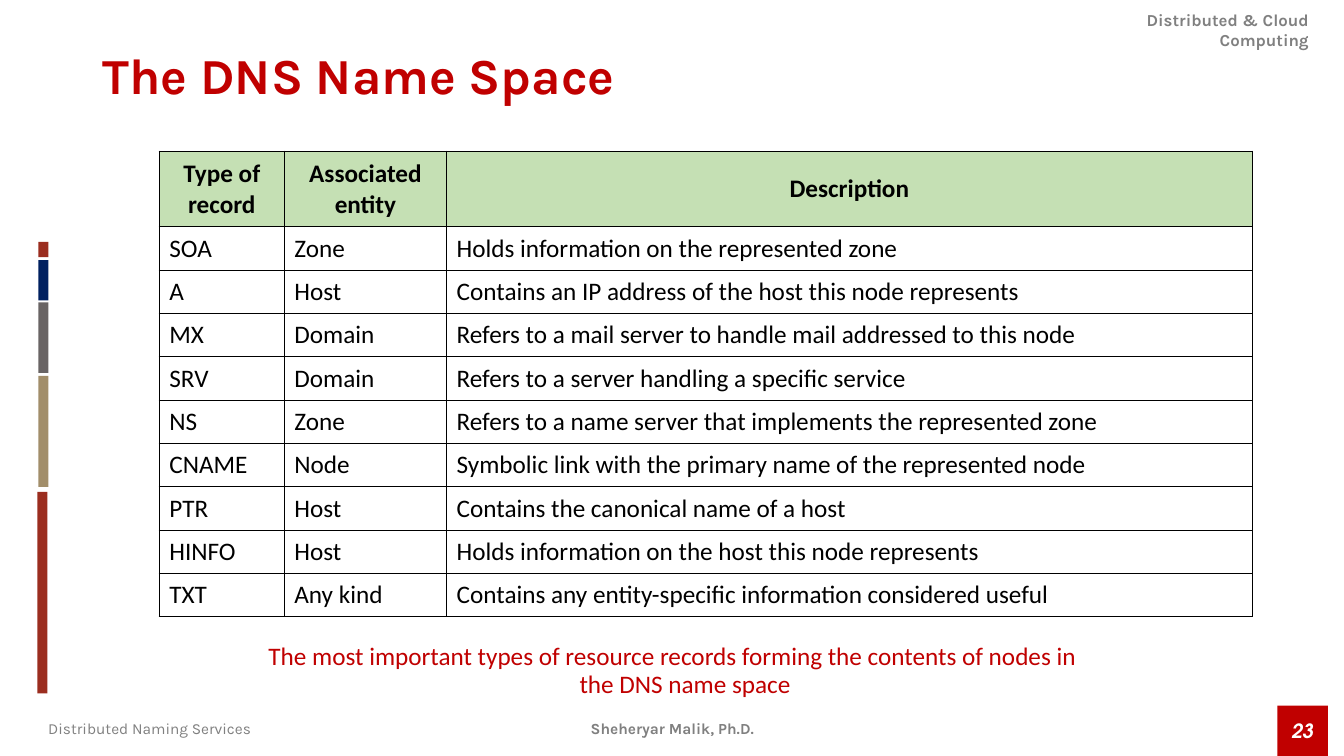
"""Build the slide listing the DNS resource record types."""
from dataclasses import dataclass

from lxml import etree
from pptx import Presentation
from pptx import util as u
from pptx.dml.color import RGBColor
from pptx.enum import shapes, text
from pptx.oxml import ns

RED, GRAY, BLACK, WHITE = "C00000", "808080", "000000", "FFFFFF"
HEADER_GREEN = "C5E0B4"
LEFT, CENTER, RIGHT = text.PP_ALIGN.LEFT, text.PP_ALIGN.CENTER, text.PP_ALIGN.RIGHT
TOP, MIDDLE = text.MSO_ANCHOR.TOP, text.MSO_ANCHOR.MIDDLE


@dataclass(frozen=True)
class Style:
    size: float
    color: str
    font: str = "Karla"
    bold: bool = False
    italic: bool = False
    align: text.PP_ALIGN = LEFT
    line_spacing: float = 1.0


@dataclass(frozen=True)
class Label:
    words: str
    left: float
    top: float
    width: float
    height: float
    style: Style
    anchor: text.MSO_ANCHOR = MIDDLE
    hanging: float = 0


@dataclass(frozen=True)
class Bar:
    left: float
    top: float
    height: float
    color: str


LABELS = [
    Label("Distributed & Cloud Computing", 10.64, 0.05, 2.44, 0.3,
          Style(12, GRAY, bold=True, align=RIGHT), TOP),
    Label("Distributed Naming Services", 0.38, 7.06, 4.4, 0.33, Style(11, GRAY)),
    Label("Sheheryar Malik, Ph.D.", 4.47, 7.06, 4.4, 0.33,
          Style(11, GRAY, bold=True, align=CENTER)),
    Label("The DNS Name Space", 0.92, 0.05, 11.5, 1.45,
          Style(36, RED, bold=True, line_spacing=0.9)),
    Label("The most important types of resource records forming the contents "
          "of nodes in the DNS name space", 2.42, 6.34, 8.5, 0.62,
          Style(18, RED, "Calibri", align=CENTER, line_spacing=0.9), TOP, 0.25),
]

BARS = [
    Bar(0.37, 4.88, 2, "9B2D1F"),
    Bar(0.38, 3.73, 1.1, "A28E6A"),
    Bar(0.38, 3, 0.7, "696464"),
    Bar(0.38, 2.4, 0.15, "9B2D1F"),
    Bar(0.38, 2.58, 0.4, "002060"),
]

COLUMN_WIDTHS = [1.24, 1.61, 7.99]
HEADER_HEIGHT, ROW_HEIGHT = 0.75, 0.43
RECORDS = [
    ("Type of record", "Associated entity", "Description"),
    ("SOA", "Zone", "Holds information on the represented zone"),
    ("A", "Host", "Contains an IP address of the host this node represents"),
    ("MX", "Domain", "Refers to a mail server to handle mail addressed to this node"),
    ("SRV", "Domain", "Refers to a server handling a specific service"),
    ("NS", "Zone", "Refers to a name server that implements the represented zone"),
    ("CNAME", "Node", "Symbolic link with the primary name of the represented node"),
    ("PTR", "Host", "Contains the canonical name of a host"),
    ("HINFO", "Host", "Holds information on the host this node represents"),
    ("TXT", "Any kind", "Contains any entity-specific information considered useful"),
]
HEADER_STYLE = Style(18, BLACK, "Calibri", bold=True, align=CENTER)
RECORD_STYLE = Style(18, BLACK, "Calibri")


def paint(target, color: str) -> None:
    """Give a fill a solid colour."""
    target.solid()
    target.fore_color.rgb = RGBColor.from_string(color)


def write(frame, words: str, style: Style):
    """Write one styled paragraph and return it."""
    para = frame.paragraphs[0]
    para.text = words
    para.alignment = style.align
    para.line_spacing = style.line_spacing
    para.font.name = style.font
    para.font.size = u.Pt(style.size)
    para.font.bold = style.bold
    para.font.italic = style.italic
    paint(para.font.fill, style.color)
    return para


def add_label(page, label: Label) -> None:
    """Add a wrapped text box."""
    box = page.shapes.add_textbox(u.Inches(label.left), u.Inches(label.top),
                                  u.Inches(label.width), u.Inches(label.height))
    frame = box.text_frame
    frame.word_wrap = True
    frame.vertical_anchor = label.anchor
    para = write(frame, label.words, label.style)
    if label.hanging:
        properties = para._p.get_or_add_pPr()
        properties.set("marL", str(u.Inches(label.hanging)))
        properties.set("indent", str(-u.Inches(label.hanging)))


def add_block(page, left: float, top: float, width: float, height: float, color: str):
    """Add a plain filled rectangle and return it."""
    block = page.shapes.add_shape(shapes.MSO_SHAPE.RECTANGLE, u.Inches(left),
                                  u.Inches(top), u.Inches(width), u.Inches(height))
    block.shadow.inherit = False
    paint(block.fill, color)
    block.line.fill.background()
    return block


def add_borders(cell) -> None:
    """Draw a thin black line on all four sides of a cell."""
    properties = cell._tc.get_or_add_tcPr()
    for index, side in enumerate(("lnL", "lnR", "lnT", "lnB")):
        line = etree.Element(ns.qn(f"a:{side}"), w=str(u.Pt(1)))
        fill = etree.SubElement(line, ns.qn("a:solidFill"))
        etree.SubElement(fill, ns.qn("a:srgbClr"), val=BLACK)
        properties.insert(index, line)


def add_record_table(page) -> None:
    """Add the table of resource record types."""
    height = HEADER_HEIGHT + ROW_HEIGHT * (len(RECORDS) - 1)
    table = page.shapes.add_table(
        len(RECORDS), len(COLUMN_WIDTHS), u.Inches(1.58), u.Inches(1.5),
        u.Inches(sum(COLUMN_WIDTHS)), u.Inches(height)).table
    table.horz_banding = False
    for column, width in zip(table.columns, COLUMN_WIDTHS):
        column.width = u.Inches(width)
    for index, (row, record) in enumerate(zip(table.rows, RECORDS)):
        is_header = index == 0
        row.height = u.Inches(HEADER_HEIGHT if is_header else ROW_HEIGHT)
        for cell, words in zip(row.cells, record):
            cell.vertical_anchor = MIDDLE
            write(cell.text_frame, words, HEADER_STYLE if is_header else RECORD_STYLE)
            if is_header:
                paint(cell.fill, HEADER_GREEN)
            else:
                cell.fill.background()
            add_borders(cell)


def main() -> None:
    """Assemble and save the deck."""
    deck = Presentation()
    deck.slide_width, deck.slide_height = u.Inches(13.33), u.Inches(7.5)
    page = deck.slides.add_slide(deck.slide_layouts[6])
    paint(page.background.fill, WHITE)
    for bar in BARS:
        add_block(page, bar.left, bar.top, 0.1, bar.height, bar.color)
    number = add_block(page, 12.67, 7, 0.5, 0.5, RED)
    number.text_frame.vertical_anchor = MIDDLE
    write(number.text_frame, "23",
          Style(14, WHITE, "TeX Gyre Adventor", bold=True, italic=True, align=CENTER))
    for label in LABELS:
        add_label(page, label)
    add_record_table(page)
    deck.save("out.pptx")


if __name__ == "__main__":
    main()
